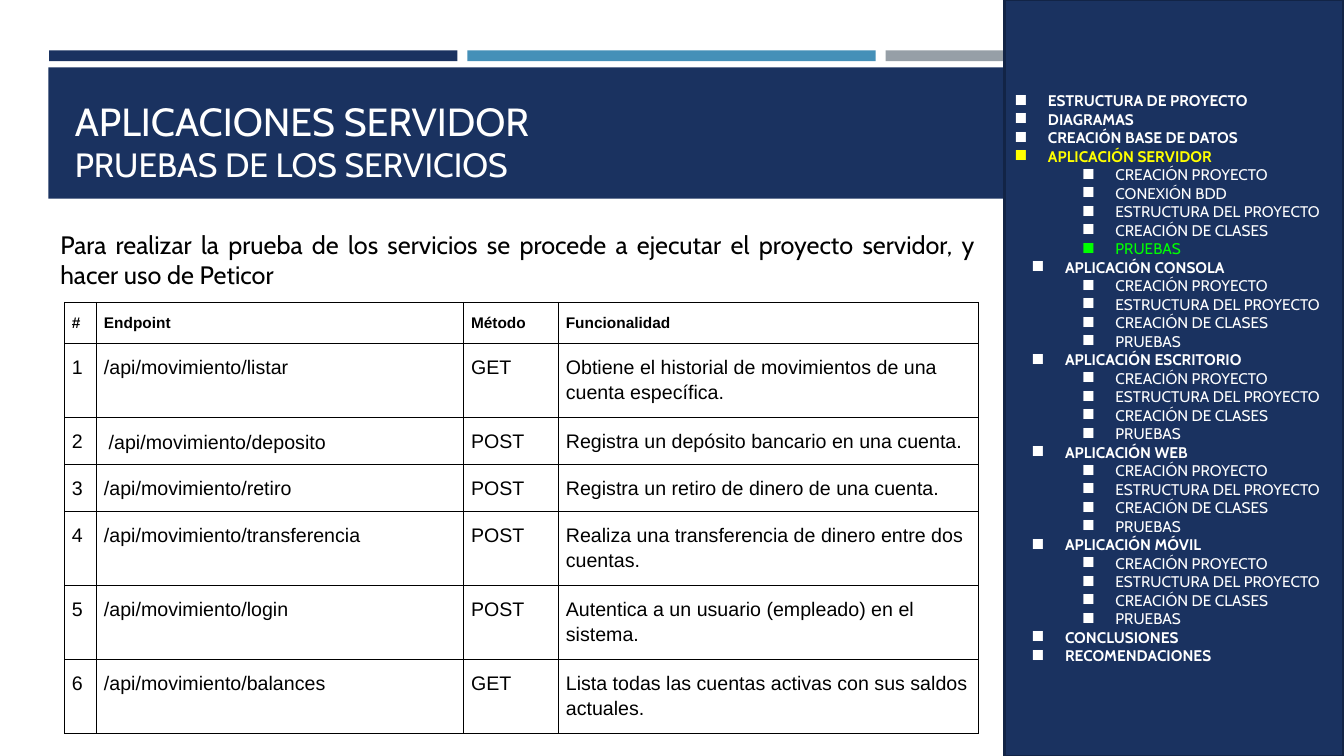
from pptx import Presentation
from pptx.dml.color import RGBColor
from pptx.enum.shapes import MSO_SHAPE
from pptx.enum.text import MSO_ANCHOR, MSO_AUTO_SIZE, PP_ALIGN
from pptx.oxml import parse_xml
from pptx.oxml.ns import nsdecls
from pptx.util import Cm, Pt

RECTANGLE = MSO_SHAPE.RECTANGLE
LEFT, JUSTIFY = PP_ALIGN.LEFT, PP_ALIGN.JUSTIFY
TOP, MIDDLE, BOTTOM = MSO_ANCHOR.TOP, MSO_ANCHOR.MIDDLE, MSO_ANCHOR.BOTTOM


class Theme:
    navy, navy_edge = "1A3260", "122446"
    blue, grey = "4590B8", "969FA7"
    white, black = "FFFFFF", "000000"
    yellow, green = "FFFF00", "00FF00"
    heading_font, table_font = "Cabin", "Arial"
    title_size, subtitle_size, body_size = 28, 24, 18
    cell_size, small_size = 14, 11


def add_span(para, text, size, color, font=Theme.heading_font, bold=False):
    span = para.add_run()
    span.text = text
    span.font.name = font
    span.font.size = Pt(size)
    span.font.bold = bold
    span.font.color.rgb = RGBColor.from_string(color)


def add_block(left, top, width, height, color):
    block = page.shapes.add_shape(RECTANGLE, Cm(left), Cm(top), Cm(width), Cm(height))
    block.shadow.inherit = False
    block.fill.solid()
    block.fill.fore_color.rgb = RGBColor.from_string(color)
    block.line.fill.background()
    return block


deck = Presentation()
deck.slide_width, deck.slide_height = Cm(33.87), Cm(19.05)
page = deck.slides.add_slide(deck.slide_layouts[5])
title = page.shapes.title

# Header: three stripes above a band, all behind the title
for index, color in enumerate([Theme.navy, Theme.blue, Theme.grey]):
    stripe = add_block(1.24 + index * 10.54, 1.27, 10.29, 0.27, color)
    title.element.addprevious(stripe.element)
band = add_block(1.22, 1.7, 31.42, 3.31, Theme.navy)
title.element.addprevious(band.element)

# Title
title.left, title.top, title.width, title.height = Cm(1.63), Cm(1.96), Cm(23.55), Cm(2.82)
title.text_frame.auto_size = MSO_AUTO_SIZE.NONE
title.text_frame.word_wrap = True
title.text_frame.vertical_anchor = BOTTOM
para = title.text_frame.paragraphs[0]
para.alignment = LEFT
add_span(para, "APLICACIONES SERVIDOR", Theme.title_size, Theme.white)
para.add_line_break()
add_span(para, "PRUEBAS DE LOS SERVICIOS", Theme.subtitle_size, Theme.white)

# Introduction
intro = page.shapes.add_textbox(Cm(1.27), Cm(5.46), Cm(23.55), Cm(2.16)).text_frame
intro.word_wrap = True
intro.vertical_anchor = MIDDLE
para = intro.paragraphs[0]
para.alignment = JUSTIFY
add_span(para, "Para realizar la prueba de los servicios se procede a ejecutar "
         "el proyecto servidor, y hacer uso de Peticor", Theme.body_size, Theme.black)

# Endpoint table
endpoints = [
    ("listar", "GET", "Obtiene el historial de movimientos de una cuenta específica."),
    ("deposito", "POST", "Registra un depósito bancario en una cuenta."),
    ("retiro", "POST", "Registra un retiro de dinero de una cuenta."),
    ("transferencia", "POST", "Realiza una transferencia de dinero entre dos cuentas."),
    ("login", "POST", "Autentica a un usuario (empleado) en el sistema."),
    ("balances", "GET", "Lista todas las cuentas activas con sus saldos actuales."),
]
rows = [("#", "Endpoint", "Método", "Funcionalidad")]
for number, (name, method, purpose) in enumerate(endpoints, 1):
    rows.append((str(number), f"/api/movimiento/{name}", method, purpose))
column_widths = [0.81, 9.25, 2.39, 10.57]
row_heights = [1.01, 1.79, 1.13, 1.13, 1.79, 1.79, 1.79]

table = page.shapes.add_table(len(rows), len(column_widths), Cm(1.63), Cm(7.62),
                              Cm(sum(column_widths)), Cm(sum(row_heights))).table
table.first_row = table.horz_banding = False
for column, width in zip(table.columns, column_widths):
    column.width = Cm(width)
for row_index, (values, height) in enumerate(zip(rows, row_heights)):
    table.rows[row_index].height = Cm(height)
    header = row_index == 0
    for column_index, value in enumerate(values):
        cell = table.cell(row_index, column_index)
        indented = value.endswith("deposito")
        cell.margin_left = cell.margin_right = Cm(0.3 if indented else 0.18)
        cell.margin_top = cell.margin_bottom = Cm(0.2 if indented else 0.25)
        cell.vertical_anchor = MIDDLE if indented else TOP
        cell.fill.background()
        para = cell.text_frame.paragraphs[0]
        para.alignment = JUSTIFY if indented else LEFT
        para.line_spacing = 1.15
        add_span(para, value, Theme.small_size if header else Theme.cell_size,
                 Theme.black, Theme.table_font, header)
        # Cell borders come before the fill
        properties = cell._tc.get_or_add_tcPr()
        for position, side in enumerate(["lnL", "lnR", "lnT", "lnB"]):
            properties.insert(position, parse_xml(
                f'<a:{side} {nsdecls("a")} w="{Pt(0.75)}"><a:solidFill>'
                f'<a:srgbClr val="{Theme.black}"/></a:solidFill></a:{side}>'))

# Sidebar outline: heading, its indent, its entries
steps = ["CREACIÓN PROYECTO", "ESTRUCTURA DEL PROYECTO", "CREACIÓN DE CLASES", "PRUEBAS"]
server_steps = steps[:1] + ["CONEXIÓN BDD"] + steps[1:]
outline = [
    ("ESTRUCTURA DE PROYECTO", 0.84, []),
    ("DIAGRAMAS", 0.84, []),
    ("CREACIÓN BASE DE DATOS", 0.84, []),
    ("APLICACIÓN SERVIDOR", 0.84, server_steps),
    ("APLICACIÓN CONSOLA", 1.27, steps),
    ("APLICACIÓN ESCRITORIO", 1.27, steps),
    ("APLICACIÓN WEB", 1.27, steps),
    ("APLICACIÓN MÓVIL", 1.27, steps),
    ("CONCLUSIONES", 1.27, []),
    ("RECOMENDACIONES", 1.27, []),
]
entries = []
for heading, indent, children in outline:
    current = heading == "APLICACIÓN SERVIDOR"
    entries.append((heading, 0, indent, Theme.yellow if current else Theme.white))
    for child in children:
        active = current and child == "PRUEBAS"
        entries.append((child, 1, 2.54, Theme.green if active else Theme.white))

sidebar = add_block(25.32, 0, 8.53, 19.05, Theme.navy)
sidebar.line.color.rgb = RGBColor.from_string(Theme.navy_edge)
sidebar.line.width = Pt(1.75)
frame = sidebar.text_frame
frame.word_wrap = True
frame.vertical_anchor = MIDDLE
for index, (text, level, indent, color) in enumerate(entries):
    para = frame.add_paragraph() if index else frame.paragraphs[0]
    para.alignment = LEFT
    para.level = level
    add_span(para, text, Theme.small_size, color, bold=level == 0)
    properties = para._p.get_or_add_pPr()
    properties.set("marL", str(Cm(indent)))
    properties.set("indent", str(-Cm(0.84)))
    for bullet in (f'<a:buClr {nsdecls("a")}><a:srgbClr val="{color}"/></a:buClr>',
                   f'<a:buChar {nsdecls("a")} char="◼"/>'):
        properties.append(parse_xml(bullet))

deck.save("out.pptx")
